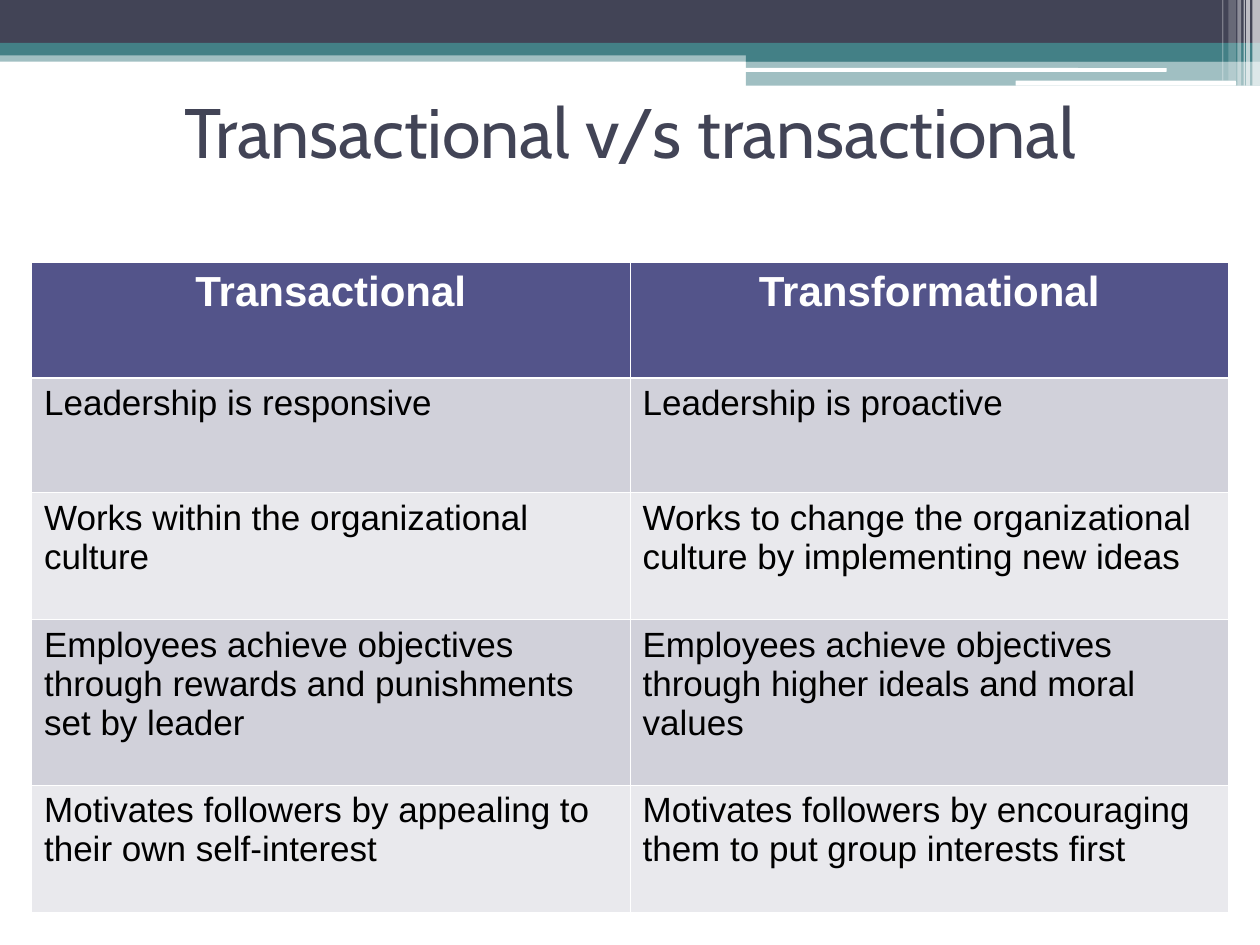
from dataclasses import dataclass

from lxml import etree
from pptx import Presentation
from pptx.dml.color import RGBColor
from pptx.enum.shapes import MSO_SHAPE
from pptx.enum.text import MSO_ANCHOR, PP_ALIGN
from pptx.oxml.ns import qn
from pptx.util import Inches, Pt

RECTANGLE = MSO_SHAPE.RECTANGLE
ROUNDED = MSO_SHAPE.ROUNDED_RECTANGLE
MIDDLE = MSO_ANCHOR.MIDDLE
CENTER, LEFT = PP_ALIGN.CENTER, PP_ALIGN.LEFT


@dataclass(frozen=True)
class Theme:
    dark: str = "424456"
    teal: str = "438086"
    white: str = "FFFFFF"
    black: str = "000000"
    header: str = "53548A"
    bands: tuple = ("D1D1DA", "E9E9ED")
    title_font: str = "Cabin"
    body_font: str = "Arial"
    title_size: int = 40
    header_size: int = 24
    body_size: int = 20
    thin_border: float = 0.45
    header_border: float = 1.47


THEME = Theme()
TITLE = "Transactional v/s transactional"
ROWS = [
    ("Transactional", "Transformational"),
    ("Leadership is responsive", "Leadership is proactive"),
    ("Works within the organizational culture",
     "Works to change the organizational culture by implementing new ideas"),
    ("Employees achieve objectives through rewards and punishments set by leader",
     "Employees achieve objectives through higher ideals and moral values"),
    ("Motivates followers by appealing to their own self-interest",
     "Motivates followers by encouraging them to put group interests first"),
]
ROW_HEIGHTS = [0.92, 0.91, 1.01, 1.31, 1.01]
COLUMN_WIDTH = 4.75
BANNER = [
    (RECTANGLE, (0, 0.4, 10, 0.09), THEME.teal, 50),
    (RECTANGLE, (0, 0, 10, 0.34), THEME.dark, 100),
    (RECTANGLE, (0, 0.34, 10, 0.1), THEME.teal, 100),
    (RECTANGLE, (5.92, 0.39, 4.08, 0.1), THEME.teal, 100),
    (RECTANGLE, (5.92, 0.48, 4.08, 0.2), THEME.teal, 50),
    (ROUNDED, (5.91, 0.54, 3.35, 0.03), THEME.white, 100),
    (ROUNDED, (8.06, 0.64, 1.75, 0.04), THEME.white, 100),
]
STRIPES = [
    (9.94, 0.06, 0.68, 65),
    (9.89, 0.03, 0.68, 65),
    (9.87, 0.01, 0.68, 60),
    (9.82, 0.03, 0.68, 40),
    (9.75, 0.06, 0.64, 20),
    (9.7, 0.01, 0.64, 30),
]


def add_block(slide, kind, box, color, opacity):
    shape = slide.shapes.add_shape(kind, *map(Inches, box))
    shape.shadow.inherit = False
    shape.line.fill.background()
    shape.fill.solid()
    shape.fill.fore_color.rgb = RGBColor.from_string(color)
    if opacity < 100:
        color_element = shape.fill._xPr.find(qn("a:solidFill"))[0]
        etree.SubElement(color_element, qn("a:alpha"), val=str(opacity * 1000))


def write_text(text_frame, text, font_name, size, color, alignment, bold=False):
    text_frame.text = text
    text_frame.word_wrap = True
    paragraph = text_frame.paragraphs[0]
    paragraph.alignment = alignment
    font = paragraph.runs[0].font
    font.name, font.size, font.bold = font_name, Pt(size), bold
    font.color.rgb = RGBColor.from_string(color)


def set_borders(cell, top, bottom):
    properties = cell._tc.get_or_add_tcPr()
    sides = {"L": THEME.thin_border, "R": THEME.thin_border, "T": top, "B": bottom}
    for side, width in sides.items():
        line = etree.SubElement(properties, qn(f"a:ln{side}"), w=str(Pt(width)))
        fill = etree.SubElement(line, qn("a:solidFill"))
        etree.SubElement(fill, qn("a:srgbClr"), val=THEME.white)


def add_comparison(slide):
    column_count = len(ROWS[0])
    table = slide.shapes.add_table(
        len(ROWS), column_count, Inches(0.25), Inches(2.08),
        Inches(COLUMN_WIDTH * column_count), Inches(sum(ROW_HEIGHTS)),
    ).table
    for column in table.columns:
        column.width = Inches(COLUMN_WIDTH)
    for row_index, (texts, height) in enumerate(zip(ROWS, ROW_HEIGHTS)):
        table.rows[row_index].height = Inches(height)
        is_header = row_index == 0
        if is_header:
            fill, style = THEME.header, (THEME.header_size, THEME.white, CENTER, True)
        else:
            fill = THEME.bands[(row_index - 1) % 2]
            style = (THEME.body_size, THEME.black, LEFT)
        top = THEME.header_border if row_index == 1 else THEME.thin_border
        bottom = THEME.header_border if is_header else THEME.thin_border
        for column_index, text in enumerate(texts):
            cell = table.cell(row_index, column_index)
            set_borders(cell, top, bottom)
            cell.fill.solid()
            cell.fill.fore_color.rgb = RGBColor.from_string(fill)
            write_text(cell.text_frame, text, THEME.body_font, *style)


def main():
    """Build the leadership comparison slide."""
    presentation = Presentation()
    presentation.slide_width, presentation.slide_height = Inches(10), Inches(7.5)
    slide = presentation.slides.add_slide(presentation.slide_layouts[6])
    for block in BANNER:
        add_block(slide, *block)
    for left, width, height, opacity in STRIPES:
        add_block(slide, RECTANGLE, (left, 0, width, height), THEME.white, opacity)
    title = slide.shapes.add_textbox(Inches(0), Inches(0.33), Inches(10), Inches(1.41))
    title.text_frame.vertical_anchor = MIDDLE
    write_text(title.text_frame, TITLE, THEME.title_font, THEME.title_size, THEME.dark, CENTER)
    add_comparison(slide)
    presentation.save("out.pptx")


if __name__ == "__main__":
    main()
